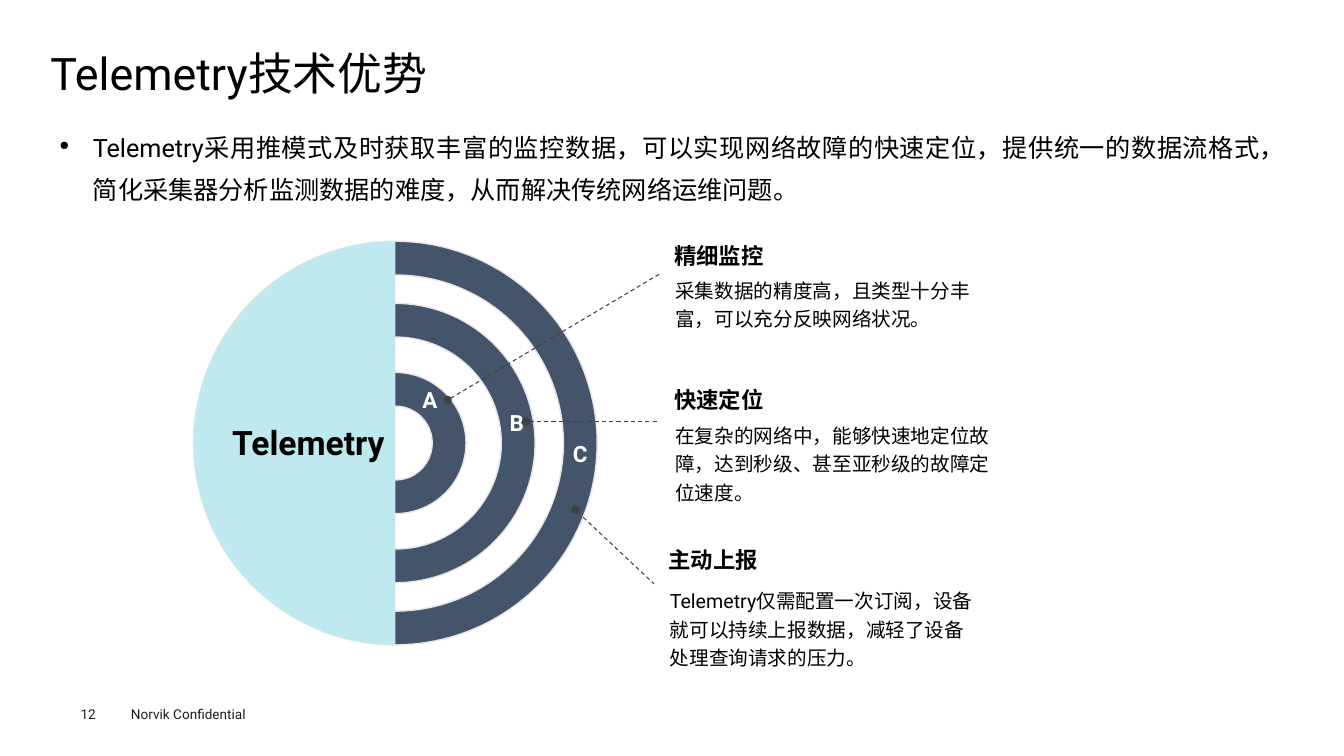
from lxml import etree
from pptx import Presentation
from pptx.dml.color import RGBColor
from pptx.enum.dml import MSO_LINE
from pptx.enum.lang import MSO_LANGUAGE_ID
from pptx.enum.shapes import MSO_CONNECTOR, MSO_SHAPE
from pptx.enum.text import MSO_ANCHOR, MSO_AUTO_SIZE, PP_ALIGN
from pptx.oxml.ns import qn
from pptx.util import Cm, Pt

DONUT, CHORD = MSO_SHAPE.DONUT, MSO_SHAPE.CHORD
STRAIGHT, DASH = MSO_CONNECTOR.STRAIGHT, MSO_LINE.DASH
LEFT, RIGHT, CENTER, JUSTIFY = PP_ALIGN.LEFT, PP_ALIGN.RIGHT, PP_ALIGN.CENTER, PP_ALIGN.JUSTIFY
TOP, MIDDLE = MSO_ANCHOR.TOP, MSO_ANCHOR.MIDDLE
FIT_SHAPE, NO_FIT = MSO_AUTO_SIZE.SHAPE_TO_FIT_TEXT, MSO_AUTO_SIZE.NONE
CHINESE = MSO_LANGUAGE_ID.SIMPLIFIED_CHINESE

BLACK = RGBColor(0x00, 0x00, 0x00)
WHITE = RGBColor(0xFF, 0xFF, 0xFF)
SLATE = RGBColor(0x44, 0x54, 0x6A)
AQUA = RGBColor(0xBE, 0xE9, 0xEE)
PALE = RGBColor(0xE7, 0xE6, 0xE6)
CHARCOAL = RGBColor(0x40, 0x40, 0x40)
INK = RGBColor(0x1D, 0x1D, 0x1B)

FONT = "Roboto"
TEXT_INSET = (0.25, 0.13)
RING_WIDTH = 0.85
RING_DIAMETERS = (10.17, 7.04, 3.56)
RING_LETTERS = (("A", 0.35, 3.75), ("B", 2.54, 4.33), ("C", 4.14, 5.12))

CALLOUTS = (
    ((16.74, 6.2, 8.18, 1.7), 0.58, "精细监控",
     "采集数据的精度高，且类型十分丰富，可以充分反映网络状况。"),
    ((16.74, 9.83, 8.66, 2.41), 0.61, "快速定位",
     "在复杂的网络中，能够快速地定位故障，达到秒级、甚至亚秒级的故障定位速度。"),
    ((16.6, 13.87, 8.31, 2.41), 0.73, "主动上报",
     "Telemetry仅需配置一次订阅，设备就可以持续上报数据，减轻了设备处理查询请求的压力。"),
)
LEADERS = (
    (11.28, 10.08, 16.61, 6.91),
    (13.26, 10.62, 16.61, 10.62),
    (14.5, 12.85, 16.48, 14.71),
)


def add_text(page, box, text, size, color=BLACK, bold=False, align=LEFT,
             spacing=1.0, inset=TEXT_INSET, anchor=TOP, fit=FIT_SHAPE):
    """Place a wrapped text box and return its paragraph."""
    shape = page.shapes.add_textbox(*map(Cm, box))
    frame = shape.text_frame
    frame.word_wrap = True
    frame.auto_size = fit
    frame.vertical_anchor = anchor
    frame.margin_left = frame.margin_right = Cm(inset[0])
    frame.margin_top = frame.margin_bottom = Cm(inset[1])
    para = frame.paragraphs[0]
    para.alignment = align
    para.line_spacing = spacing
    span = para.add_run()
    span.text = text
    span.font.name = FONT
    span.font.size = Pt(size)
    span.font.bold = bold
    span.font.color.rgb = color
    span.font.language_id = CHINESE
    return para


def add_title(page, box):
    """Write the slide title."""
    add_text(page, box, "Telemetry技术优势", 32, spacing=0.9, inset=(0, 0),
             anchor=MIDDLE, fit=NO_FIT)


def add_summary(page, box):
    """Write the bulleted summary."""
    text = ("Telemetry采用推模式及时获取丰富的监控数据，可以实现网络故障的快速定位，"
            "提供统一的数据流格式，简化采集器分析监测数据的难度，从而解决传统网络运维问题。")
    para = add_text(page, box, text, 18, align=JUSTIFY, spacing=1.4,
                    inset=(0.23, 0.1), fit=NO_FIT)
    properties = para._p.get_or_add_pPr()
    indent = Cm(0.84)
    properties.set("marL", str(indent))
    properties.set("indent", str(-indent))
    etree.SubElement(properties, qn("a:buSzPct"), val="50000")
    etree.SubElement(properties, qn("a:buChar"), char="●")


def add_target(page, box):
    """Draw the concentric rings, the half disc over them and their labels."""
    left, top, width, height = box
    for diameter in RING_DIAMETERS:
        ring = page.shapes.add_shape(
            DONUT, Cm(left + (width - diameter) / 2), Cm(top + (height - diameter) / 2),
            Cm(diameter), Cm(diameter))
        ring.adjustments[0] = RING_WIDTH / diameter
        ring.shadow.inherit = False
        ring.fill.solid()
        ring.fill.fore_color.rgb = SLATE
        ring.line.color.rgb = PALE
        ring.line.width = Pt(1)
    disc = page.shapes.add_shape(CHORD, *map(Cm, box))
    disc.adjustments[0] = 54
    disc.adjustments[1] = 162
    disc.shadow.inherit = False
    disc.fill.solid()
    disc.fill.fore_color.rgb = AQUA
    disc.line.fill.background()
    middle = left + width / 2
    add_text(page, (middle - 5.46, top + 4.31, 5.44, 1.32), "Telemetry", 24,
             bold=True, align=RIGHT, spacing=1.1)
    for letter, across, down in RING_LETTERS:
        add_text(page, (middle + across, top + down, 1.04, 0.71), letter, 16,
                 WHITE, True, CENTER, 0.6)


def add_leader(page, ends):
    """Draw a dashed leader that starts with a dot."""
    leader = page.shapes.add_connector(STRAIGHT, *map(Cm, ends))
    leader.line.color.rgb = CHARCOAL
    leader.line.width = Pt(0.75)
    leader.line.dash_style = DASH
    etree.SubElement(leader.line._get_or_add_ln(), qn("a:headEnd"), type="oval")
    etree.SubElement(leader._element.spPr, qn("a:effectLst"))


def add_callout(page, box, drop, heading, detail):
    """Write a heading with its explanation below."""
    left, top, width, height = box
    add_text(page, (left, top, 4.6, 0.71), heading, 16, bold=True, spacing=0.6)
    add_text(page, (left + 0.03, top + drop, width, height), detail, 14, spacing=1.2)


def add_footer(page, box):
    """Write the page number and the confidentiality mark."""
    left, top, width, height = box
    add_text(page, (left, top + 0.13, 1.4, 0.41), "12", 9.7, INK, inset=(0, 0))
    add_text(page, (left + 1.02, top, width - 1.02, height), "Norvik Confidential", 9.7, INK)


def main():
    """Build the slide and save the deck."""
    deck = Presentation()
    deck.slide_width, deck.slide_height = Cm(33.87), Cm(19.05)
    page = deck.slides.add_slide(deck.slide_layouts[6])
    add_title(page, (1.27, 1.24, 31.37, 1.35))
    add_summary(page, (1.27, 2.92, 31.37, 13.56))
    add_target(page, (4.88, 6.08, 10.17, 10.17))
    for ends in LEADERS:
        add_leader(page, ends)
    for callout in CALLOUTS:
        add_callout(page, *callout)
    add_footer(page, (2.03, 17.65, 5.08, 0.69))
    deck.save("out.pptx")


if __name__ == "__main__":
    main()
